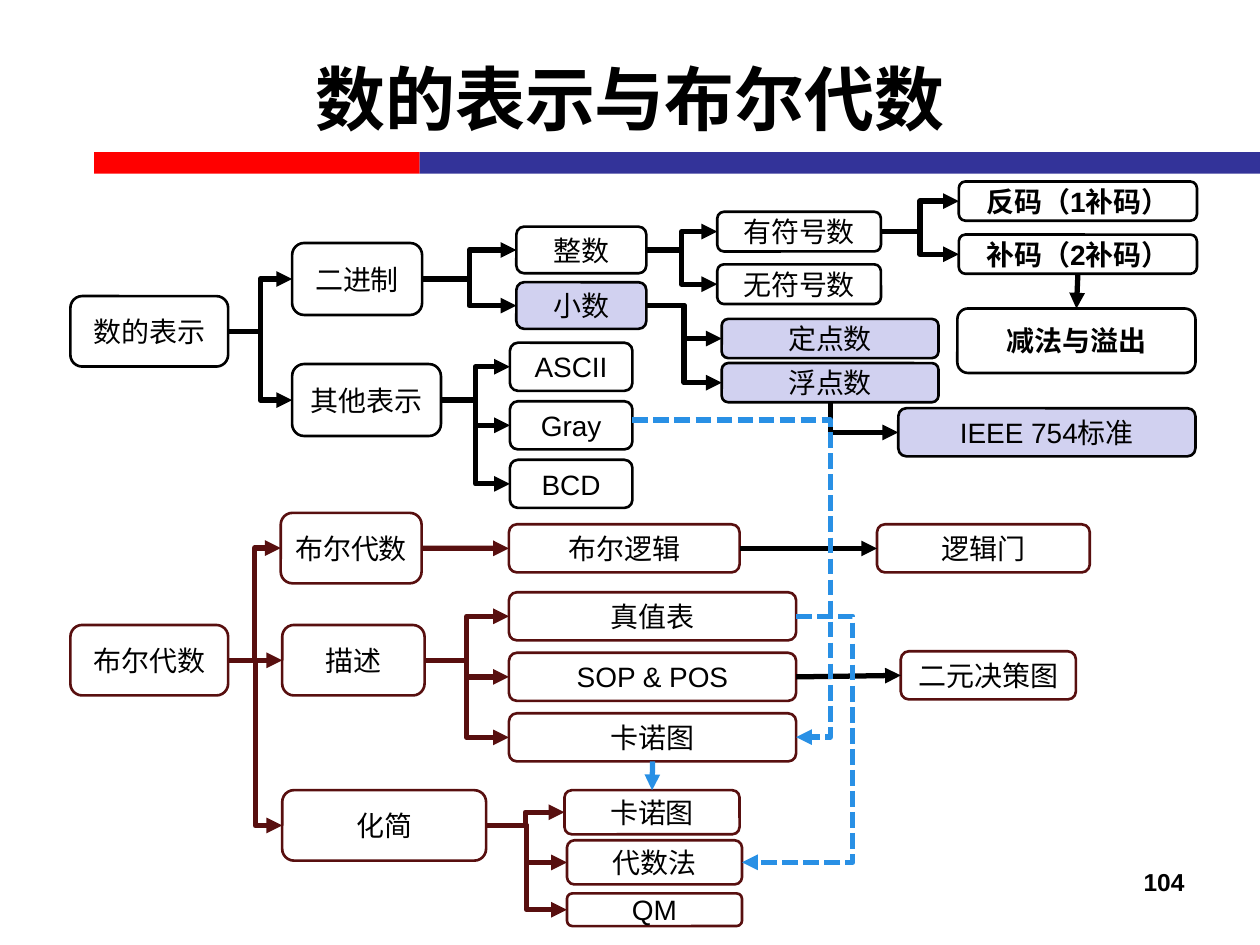
from dataclasses import dataclass

from lxml.etree import SubElement
from pptx import Presentation
from pptx.dml.color import RGBColor
from pptx.enum.dml import MSO_LINE
from pptx.enum.shapes import MSO_CONNECTOR as LINK, MSO_SHAPE as SHAPE
from pptx.enum.text import MSO_ANCHOR as ANCHOR, MSO_AUTO_SIZE, PP_ALIGN as ALIGN
from pptx.oxml.ns import qn
from pptx.util import Cm, Pt


@dataclass(frozen=True)
class Theme:
    font: str = "Arial"
    black: RGBColor = RGBColor(0, 0, 0)
    white: RGBColor = RGBColor(255, 255, 255)
    lilac: RGBColor = RGBColor(0xD1, 0xD1, 0xF0)
    maroon: RGBColor = RGBColor(0x58, 0x0F, 0x0F)
    sky: RGBColor = RGBColor(0x29, 0x90, 0xE5)
    red: RGBColor = RGBColor(255, 0, 0)
    navy: RGBColor = RGBColor(0x33, 0x33, 0x99)
    title_size: Pt = Pt(40)
    node_size: Pt = Pt(16)
    number_size: Pt = Pt(14)
    outline: Pt = Pt(1.5)
    link_width: Pt = Pt(3)


THEME = Theme()
TOP, LEFT, BOTTOM, RIGHT = range(4)  # connection sites of a rounded rectangle


def write(box, text, size, align, bold=False):
    frame = box.text_frame
    frame.text = text
    frame.word_wrap = True
    para = frame.paragraphs[0]
    para.alignment = align
    font = para.runs[0].font
    font.name, font.size, font.bold = THEME.font, size, bold
    font.color.rgb = THEME.black


def style_link(link, color, dashed=False, bend=None, arrow="tailEnd"):
    """Format a connector; bend is where its middle leg lies, as a share of its width."""
    link.line.color.rgb = color
    link.line.width = THEME.link_width
    if dashed:
        link.line.dash_style = MSO_LINE.SQUARE_DOT
    properties = link._element.spPr
    SubElement(properties.find(qn("a:ln")), qn(f"a:{arrow}"), type="triangle")
    SubElement(properties, qn("a:effectLst"))
    if bend is not None:
        guides = properties.find(qn("a:prstGeom")).get_or_add_avLst()
        SubElement(guides, qn("a:gd"), name="adj1", fmla=f"val {round(bend * 100000)}")


deck = Presentation()
deck.slide_width, deck.slide_height = Cm(25.4), Cm(19.05)
page = deck.slides.add_slide(deck.slide_layouts[5])
shapes = page.shapes

# Title and the two-coloured bar below it
title = shapes.title
title.left, title.top, title.width, title.height = Cm(1.27), Cm(0.38), Cm(22.86), Cm(3.18)
write(title, "数的表示与布尔代数", THEME.title_size, ALIGN.CENTER, bold=True)
title.text_frame.vertical_anchor = ANCHOR.MIDDLE
title.text_frame.auto_size = MSO_AUTO_SIZE.NONE

for left, width, color in ((1.9, 6.56, THEME.red), (8.46, 16.94, THEME.navy)):
    bar = shapes.add_shape(SHAPE.RECTANGLE, Cm(left), Cm(3.07), Cm(width), Cm(0.43))
    bar.shadow.inherit = False
    bar.fill.solid()
    bar.fill.fore_color.rgb = color
    bar.line.fill.background()

# Stacks of nodes: left, top, width, height, vertical step, {key: text}
NUMBER_STACKS = (
    (1.42, 5.97, 3.18, 1.42, 0, {"numbers": "数的表示"}),
    (5.89, 4.9, 2.62, 1.45, 0, {"binary": "二进制"}),
    (5.89, 7.34, 3, 1.45, 0, {"other": "其他表示"}),
    (10.41, 4.57, 2.62, 0.94, 1.12, {"integer": "整数", "fraction": "小数"}),
    (10.28, 6.91, 2.47, 0.97, 1.18, {"ascii": "ASCII", "gray": "Gray", "bcd": "BCD"}),
    (14.46, 4.27, 3.3, 0.8, 1.06, {"signed": "有符号数", "unsigned": "无符号数"}),
    (14.55, 6.43, 4.37, 0.79, 0.89, {"fixed": "定点数", "float": "浮点数"}),
    (19.33, 3.66, 4.8, 0.79, 1.07, {"ones": "反码（1补码）", "twos": "补码（2补码）"}),
    (19.3, 6.22, 4.8, 1.3, 0, {"subtraction": "减法与溢出"}),
    (18.11, 8.23, 5.99, 0.97, 0, {"ieee": "IEEE 754标准"}),
)
BOOLEAN_STACKS = (
    (1.42, 12.6, 3.18, 1.42, 0, {"boolean": "布尔代数"}),
    (5.66, 10.34, 2.84, 1.42, 0, {"algebra": "布尔代数"}),
    (5.69, 12.6, 2.87, 1.42, 0, {"description": "描述"}),
    (5.69, 15.93, 4.11, 1.42, 0, {"simplify": "化简"}),
    (10.26, 10.57, 4.65, 0.97, 0, {"logic": "布尔逻辑"}),
    (17.68, 10.57, 4.29, 0.97, 0, {"gates": "逻辑门"}),
    (10.26, 11.94, 5.79, 0.97, 1.22,
     {"truth": "真值表", "sop": "SOP & POS", "kmap": "卡诺图"}),
    (18.16, 13.13, 3.53, 0.97, 0, {"decision": "二元决策图"}),
    (11.38, 15.93, 3.53, 0.89, 0, {"by_kmap": "卡诺图"}),
    (11.43, 16.94, 3.53, 0.89, 0, {"by_algebra": "代数法"}),
    (11.43, 18.01, 3.53, 0.66, 0, {"by_qm": "QM"}),
)
SHADED = {"fraction", "fixed", "float", "ieee"}
BOLD = {"ones", "twos", "subtraction"}

nodes = {}
for stacks, outline in ((NUMBER_STACKS, THEME.black), (BOOLEAN_STACKS, THEME.maroon)):
    for left, top, width, height, step, texts in stacks:
        for row, (key, text) in enumerate(texts.items()):
            node = shapes.add_shape(SHAPE.ROUNDED_RECTANGLE, Cm(left), Cm(top + row * step),
                                    Cm(width), Cm(height))
            node.shadow.inherit = False
            node.fill.solid()
            node.fill.fore_color.rgb = THEME.lilac if key in SHADED else THEME.white
            node.line.color.rgb = outline
            node.line.width = THEME.outline
            write(node, text, THEME.node_size, ALIGN.CENTER, bold=key in BOLD)
            frame = node.text_frame
            frame.vertical_anchor = ANCHOR.MIDDLE
            frame.margin_left = frame.margin_right = 0
            nodes[key] = node

# Branches run from the right side of a parent to the left side of each child
BRANCHES = (
    (LINK.ELBOW, THEME.black, {
        "numbers": ("binary", "other"),
        "binary": ("integer", "fraction"),
        "other": ("ascii", "gray", "bcd"),
        "integer": ("signed", "unsigned"),
        "fraction": ("fixed", "float"),
        "signed": ("ones", "twos"),
    }),
    (LINK.ELBOW, THEME.maroon, {
        "boolean": ("algebra", "simplify"),
        "description": ("truth", "sop", "kmap"),
        "simplify": ("by_kmap", "by_algebra", "by_qm"),
    }),
    (LINK.STRAIGHT, THEME.maroon, {"boolean": ("description",), "algebra": ("logic",)}),
    (LINK.STRAIGHT, THEME.black, {"logic": ("gates",), "sop": ("decision",)}),
)
links = [(kind, parent, RIGHT, child, LEFT, {"color": color})
         for kind, color, family in BRANCHES
         for parent, children in family.items()
         for child in children]
links += [
    (LINK.STRAIGHT, "twos", BOTTOM, "subtraction", TOP, {"color": THEME.black}),
    (LINK.STRAIGHT, "kmap", BOTTOM, "by_kmap", TOP, {"color": THEME.sky, "dashed": True}),
    (LINK.ELBOW, "truth", RIGHT, "by_algebra", RIGHT,
     {"color": THEME.sky, "dashed": True, "bend": -1.05}),
]
for kind, start, start_site, end, end_site, style in links:
    link = shapes.add_connector(kind, 0, 0, 0, 0)
    link.begin_connect(nodes[start], start_site)
    link.end_connect(nodes[end], end_site)
    style_link(link, **style)

# The single-corner link is laid from its arrowhead back to the floating-point node
corner = shapes.add_connector(LINK.ELBOW, Cm(18.11), Cm(8.72), Cm(16.74), Cm(8.11))
corner._element.spPr.find(qn("a:prstGeom")).set("prst", "bentConnector2")
style_link(corner, THEME.black, arrow="headEnd")

# Gray code order leads to the Karnaugh map, leaving just above the node's middle
gray_link = shapes.add_connector(LINK.ELBOW, Cm(12.75), Cm(8.47), Cm(16.05), Cm(14.86))
style_link(gray_link, THEME.sky, dashed=True, bend=1.21)

page_number = shapes.add_textbox(Cm(18.21), Cm(17.35), Cm(5.92), Cm(1.32))
write(page_number, "104", THEME.number_size, ALIGN.RIGHT, bold=True)

deck.save("out.pptx")
